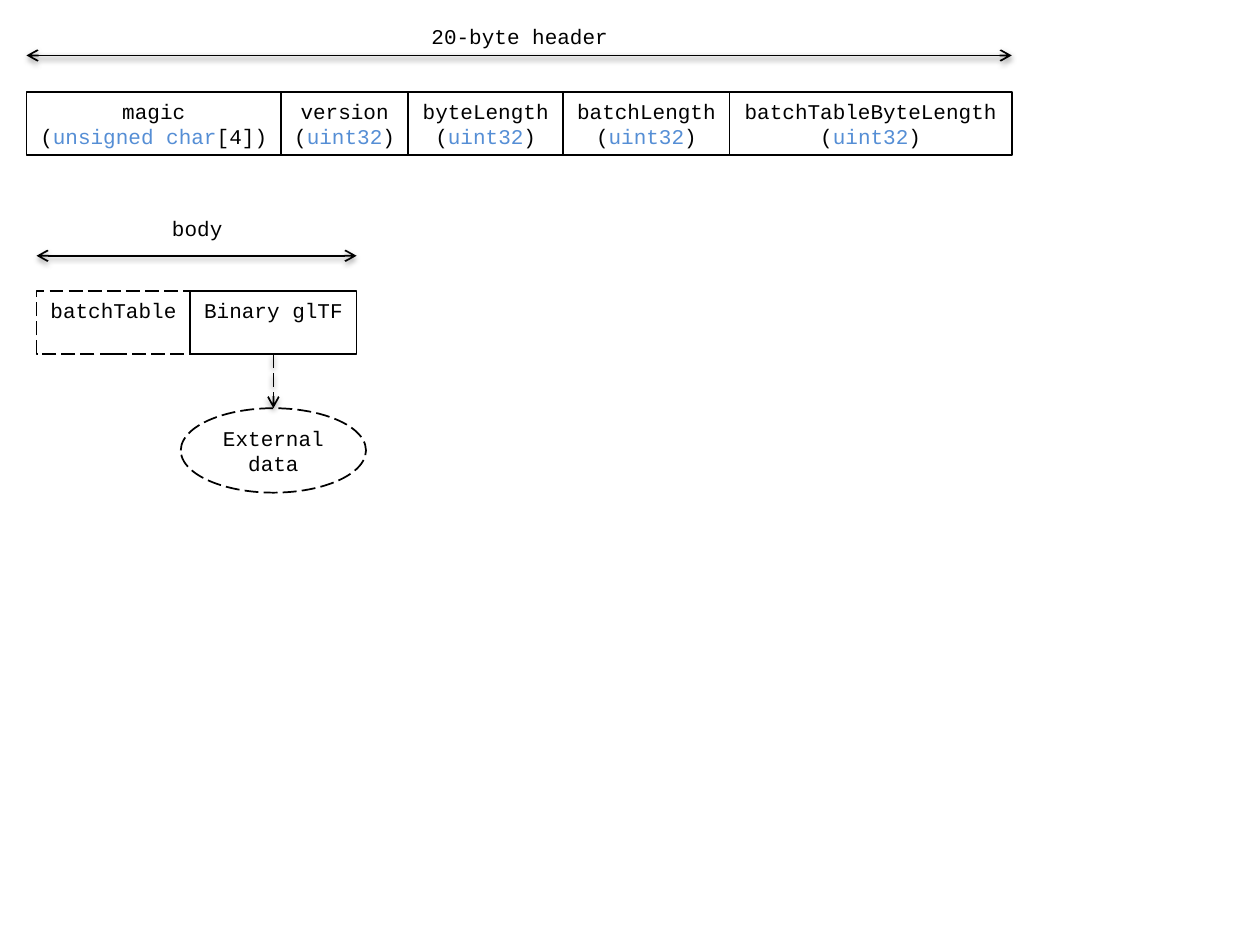
from lxml import etree
from pptx import Presentation
from pptx.dml.color import RGBColor
from pptx.enum.dml import MSO_LINE
from pptx.enum.shapes import MSO_CONNECTOR, MSO_SHAPE
from pptx.enum.text import MSO_ANCHOR, PP_ALIGN
from pptx.oxml.ns import qn
from pptx.util import Inches, Pt

RECT, OVAL = MSO_SHAPE.RECTANGLE, MSO_SHAPE.OVAL
LINE = MSO_CONNECTOR.STRAIGHT
DASH = MSO_LINE.LONG_DASH
TOP, MIDDLE = MSO_ANCHOR.TOP, MSO_ANCHOR.MIDDLE
CENTER = PP_ALIGN.CENTER
COLS, ROWS = 100, 75


class Board:
    """Draws on one slide; lengths are columns and rows of a 100 by 75 grid."""

    colors = {"ink": "000000", "type": "558ED5", "paper": "FFFFFF"}
    font = {"name": "Courier New", "size": Pt(12)}

    def __init__(self, deck):
        self.slide = deck.slides.add_slide(deck.slide_layouts[6])
        self.shapes = self.slide.shapes
        self.col = deck.slide_width / COLS
        self.row = deck.slide_height / ROWS

    def place(self, x, y, w, h):
        return [round(n * unit) for n, unit in
                zip((x, y, w, h), (self.col, self.row) * 2)]

    def color(self, name):
        return RGBColor.from_string(self.colors[name])

    def text(self, frame, lines, anchor=TOP, wrap=False):
        """Fill a frame; the part of a line between bars is a type name."""
        frame.word_wrap, frame.vertical_anchor = wrap, anchor
        for i, line in enumerate(lines):
            para = frame.add_paragraph() if i else frame.paragraphs[0]
            para.alignment = CENTER
            for j, part in enumerate(line.split("|")):
                run = para.add_run()
                run.text = part
                for key, value in self.font.items():
                    setattr(run.font, key, value)
                run.font.color.rgb = self.color("type" if j % 2 else "ink")

    def stroke(self, line, dash):
        line.color.rgb = self.color("ink")
        line.width = Pt(1)
        if dash:
            line.dash_style = DASH

    def box(self, place, lines, kind=RECT, dash=False, fill=None, **style):
        shape = self.shapes.add_shape(kind, *self.place(*place))
        shape.shadow.inherit = False
        if fill:
            shape.fill.solid()
            shape.fill.fore_color.rgb = self.color(fill)
        else:
            shape.fill.background()
        self.stroke(shape.line, dash)
        self.text(shape.text_frame, lines, **style)
        return shape

    def strip(self, x, y, cells):
        """Lay touching boxes from left to right."""
        boxes = []
        for width, lines, dash in cells:
            boxes.append(self.box((x, y, width, 5), lines, dash=dash))
            x += width
        return boxes

    def label(self, place, words):
        self.text(self.shapes.add_textbox(*self.place(*place)).text_frame, [words])

    def arrow(self, x, y, w=0, h=0, ends=("headEnd", "tailEnd"), dash=False):
        left, top, wide, tall = self.place(x, y, w, h)
        line = self.shapes.add_connector(LINE, left, top, left + wide, top + tall)
        self.stroke(line.line, dash)
        stroke = line._element.spPr.find(qn("a:ln"))
        for end in ends:
            etree.SubElement(stroke, qn(f"a:{end}"), type="arrow")
        self.shade(line)
        return line

    def shade(self, line):
        effects = etree.SubElement(line._element.spPr, qn("a:effectLst"))
        shadow = etree.SubElement(
            effects, qn("a:outerShdw"), blurRad=str(Pt(3.1)), dist=str(Pt(1.6)),
            dir="5400000", rotWithShape="0")
        tint = etree.SubElement(shadow, qn("a:srgbClr"), val=self.colors["ink"])
        etree.SubElement(tint, qn("a:alpha"), val="38000")


def main():
    deck = Presentation()
    deck.slide_width, deck.slide_height = Inches(10), Inches(7.5)
    board = Board(deck)

    fields = [
        (20.2, "magic", "(|unsigned char|[4])"),
        (10.1, "version", "(|uint32|)"),
        (12.3, "byteLength", "(|uint32|)"),
        (13.2, "batchLength", "(|uint32|)"),
        (22.4, "batchTableByteLength", "(|uint32|)"),
    ]
    board.label((33.1, 1.4, 16.3, 3), "20-byte header")
    board.arrow(2.1, 4.4, sum(field[0] for field in fields))
    board.strip(2.1, 7.3, [(width, lines, False) for width, *lines in fields])

    parts = [(12.2, ["batchTable"], True), (13.2, ["Binary glTF"], False)]
    board.label((12.6, 16.6, 6.1, 3), "body")
    board.arrow(2.9, 20.3, sum(part[0] for part in parts))
    gltf = board.strip(2.9, 23.1, parts)[-1]

    data = board.box((14.35, 32.4, 14.7, 6.7), ["External data"], OVAL,
                     dash=True, fill="paper", anchor=MIDDLE, wrap=True)
    link = board.arrow(21.7, 28.1, h=4.3, ends=["tailEnd"], dash=True)
    link.begin_connect(gltf, 2)
    link.end_connect(data, 0)

    deck.save("out.pptx")


if __name__ == "__main__":
    main()
